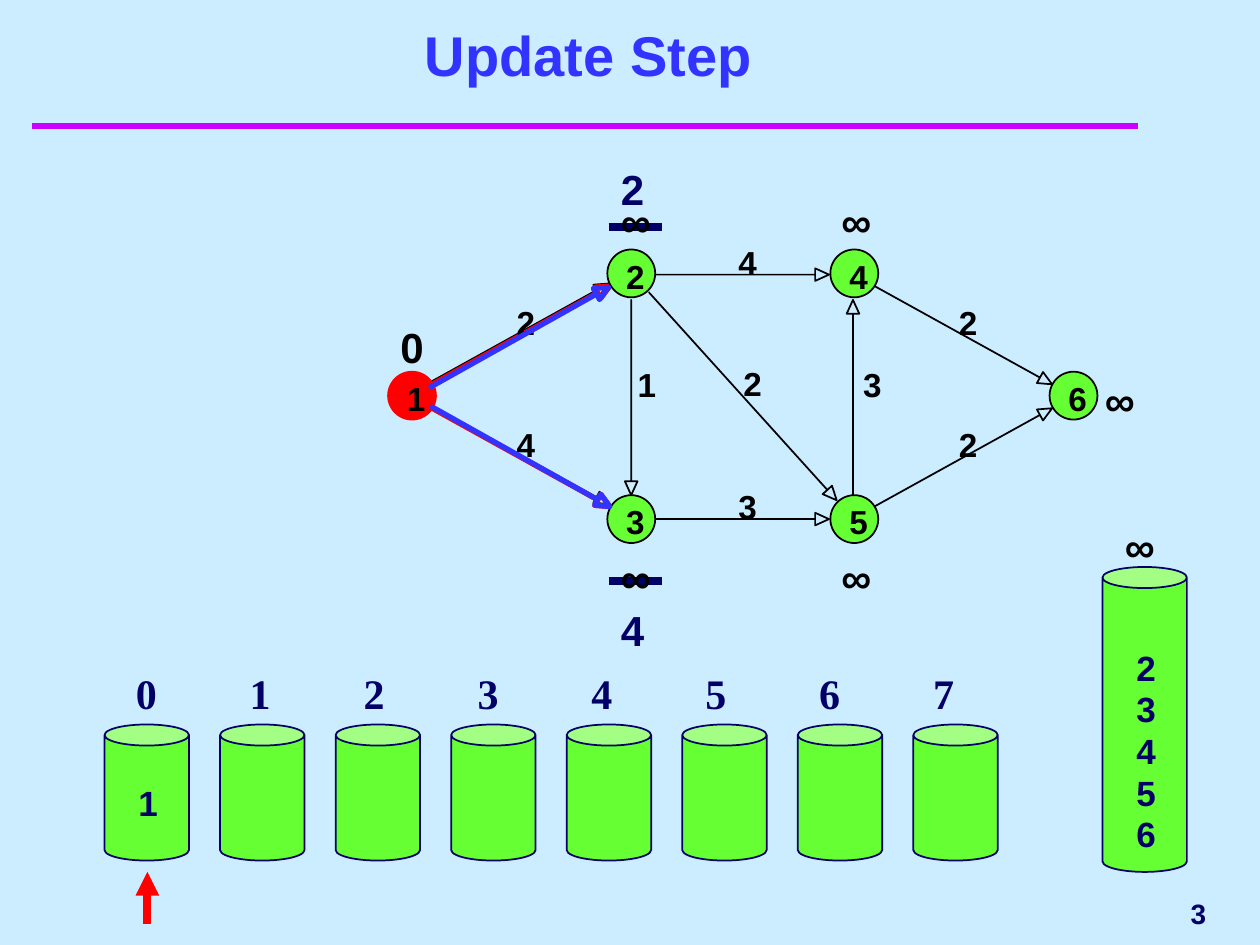
from math import hypot
from lxml import etree
from pptx import Presentation
from pptx.dml.color import RGBColor as RGB
from pptx.enum.shapes import MSO_CONNECTOR as CONN, MSO_SHAPE as SHAPE
from pptx.enum.text import MSO_ANCHOR as ANCHOR, MSO_AUTO_SIZE as AUTO, PP_ALIGN as ALIGN
from pptx.oxml.ns import qn
from pptx.util import Inches, Pt

C = {"bg": "CCECFF", "title": "3333FF", "rule": "CC00FF", "navy": "000066",
     "black": "000000", "green": "66FF33", "red": "FF0000", "blue": "3333FF"}

prs = Presentation()
prs.slide_width, prs.slide_height = Inches(10), Inches(7.5)
s = prs.slides.add_slide(prs.slide_layouts[5])
s.background.fill.solid()
s.background.fill.fore_color.rgb = RGB.from_string(C["bg"])


def add_text(text, x, y, w, h, size, color="black", font="Arial", inset=True):
    sp = s.shapes.add_textbox(Inches(x), Inches(y), Inches(w), Inches(h))
    tf = sp.text_frame
    tf.word_wrap = inset
    if not inset:
        tf.margin_left = tf.margin_right = tf.margin_top = tf.margin_bottom = 0
    tf.text = text
    f = tf.paragraphs[0].runs[0].font
    f.name, f.size, f.bold = font, Pt(size), True
    f.color.rgb = RGB.from_string(C[color])
    return tf


def add_edge(x1, y1, x2, y2, color="black", width=1):
    length = hypot(x2 - x1, y2 - y1)
    ux, uy = (x2 - x1) / length, (y2 - y1) / length
    bx, by = x2 - 0.11 * ux, y2 - 0.11 * uy
    dx, dy = -0.05 * uy, 0.05 * ux
    fb = s.shapes.build_freeform(Inches(x1), Inches(y1))
    points = [(bx, by), (bx + dx, by + dy), (x2, y2), (bx - dx, by - dy), (bx, by)]
    fb.add_line_segments([(Inches(x), Inches(y)) for x, y in points], close=True)
    sp = fb.convert_to_shape()
    sp.shadow.inherit = False
    sp.fill.background()
    sp.line.color.rgb = RGB.from_string(C[color])
    sp.line.width = Pt(width)


title = s.shapes.title
title.left, title.top, title.width, title.height = [Inches(v) for v in (0.42, 0.33, 8.5, 0.42)]
tf = title.text_frame
tf.text = "Update Step"
tf.auto_size, tf.vertical_anchor = AUTO.NONE, ANCHOR.BOTTOM
p = tf.paragraphs[0]
p.alignment = ALIGN.CENTER
f = p.runs[0].font
f.name, f.size, f.bold = "Arial", Pt(32), True
f.color.rgb = RGB.from_string(C["title"])

tf = add_text("3", 7.75, 7, 1.92, 0.5, 16, "navy")
tf.vertical_anchor = ANCHOR.MIDDLE
tf.paragraphs[0].alignment = ALIGN.RIGHT

for edge in [(3.42, 3.03, 4.83, 2.25), (3.42, 3.22, 4.83, 4), (5.21, 2.18, 6.58, 2.18),
             (5.15, 2.32, 6.64, 3.97), (5.01, 2.38, 5.01, 3.93), (5.21, 4.12, 6.58, 4.12),
             (6.94, 2.27, 8.35, 3.05), (6.77, 3.93, 6.77, 2.38), (6.94, 4.02, 8.35, 3.24)]:
    add_edge(*edge)
for edge in [(3.43, 3.05, 4.84, 2.27), (3.43, 3.24, 4.84, 4.02)]:
    add_edge(*edge, "red", 3)

nodes = [("1", 3.08, 2.95), ("2", 4.82, 1.98), ("3", 4.82, 3.93),
         ("4", 6.59, 1.98), ("5", 6.59, 3.93), ("6", 8.33, 2.95)]
solids = [(SHAPE.OVAL, x, y, 0.38, 0.38, "red" if n == "1" else "green",
           "red" if n == "1" else "black") for n, x, y in nodes]
solids += [(SHAPE.CAN, 0.83 + i * 0.917, 5.75, 0.67, 1.08, "green", "navy") for i in range(8)]
solids.append((SHAPE.CAN, 8.75, 4.5, 0.67, 2.42, "green", "navy"))
for kind, x, y, w, h, fill, line in solids:
    sp = s.shapes.add_shape(kind, Inches(x), Inches(y), Inches(w), Inches(h))
    sp.shadow.inherit = False
    sp.fill.solid()
    sp.fill.fore_color.rgb = RGB.from_string(C[fill])
    sp.line.color.rgb = RGB.from_string(C[line])
    sp.line.width = Pt(1)

for n, x, y in nodes:
    add_text(n, x + 0.15, y + 0.05, 0.15, 0.32, 19, inset=False)
for weight, x, y in [("2", 4.1, 2.4), ("4", 5.86, 1.92), ("2", 5.9, 2.88), ("1", 5.06, 2.89),
                     ("3", 5.86, 3.86), ("4", 4.1, 3.37), ("2", 7.61, 2.4), ("3", 6.85, 2.89),
                     ("2", 7.61, 3.37)]:
    add_text(weight, x, y, 0.15, 0.32, 19, inset=False)

for edge in [(3.42, 3.07, 4.83, 2.28), (3.43, 3.23, 4.84, 4.02)]:
    add_edge(*edge, "blue", 3)

for x1, y1, x2, y2, color, width, arrow in [
        (0.25, 1, 9.03, 1, "rule", 4, False),
        (4.83, 1.8, 5.25, 1.8, "navy", 4.5, False),
        (4.83, 4.61, 5.25, 4.61, "navy", 4.5, False),
        (1.17, 7.33, 1.17, 6.92, "red", 4.5, True)]:
    cn = s.shapes.add_connector(CONN.STRAIGHT, Inches(x1), Inches(y1), Inches(x2), Inches(y2))
    cn.line.color.rgb = RGB.from_string(C[color])
    cn.line.width = Pt(width)
    if arrow:
        etree.SubElement(cn.line._get_or_add_ln(), qn("a:tailEnd"), type="triangle")
    etree.SubElement(cn._element.spPr, qn("a:effectLst"))

for label, x, y, color in [("2", 4.83, 1.25, "navy"), ("4", 4.83, 4.75, "navy"),
                           ("0", 3.08, 2.5, "black"), ("∞", 8.83, 4.08, "black"),
                           ("∞", 4.83, 1.5, "black"), ("∞", 4.83, 4.33, "black"),
                           ("∞", 6.58, 1.5, "black"), ("∞", 6.58, 4.33, "black"),
                           ("∞", 8.67, 2.92, "black")]:
    add_text(label, x, y, 0.58, 0.5, 24, color)

for i in range(8):
    add_text(str(i), 0.98 + i * 0.904, 5.25, 0.5, 0.5, 24, "navy", "Times New Roman")
add_text("1", 1, 6.15, 0.33, 0.44, 20, "navy")
for i in range(5):
    add_text(str(i + 2), 8.92, 5.08 + i * 0.33, 0.33, 0.44, 20, "navy")

prs.save("out.pptx")
